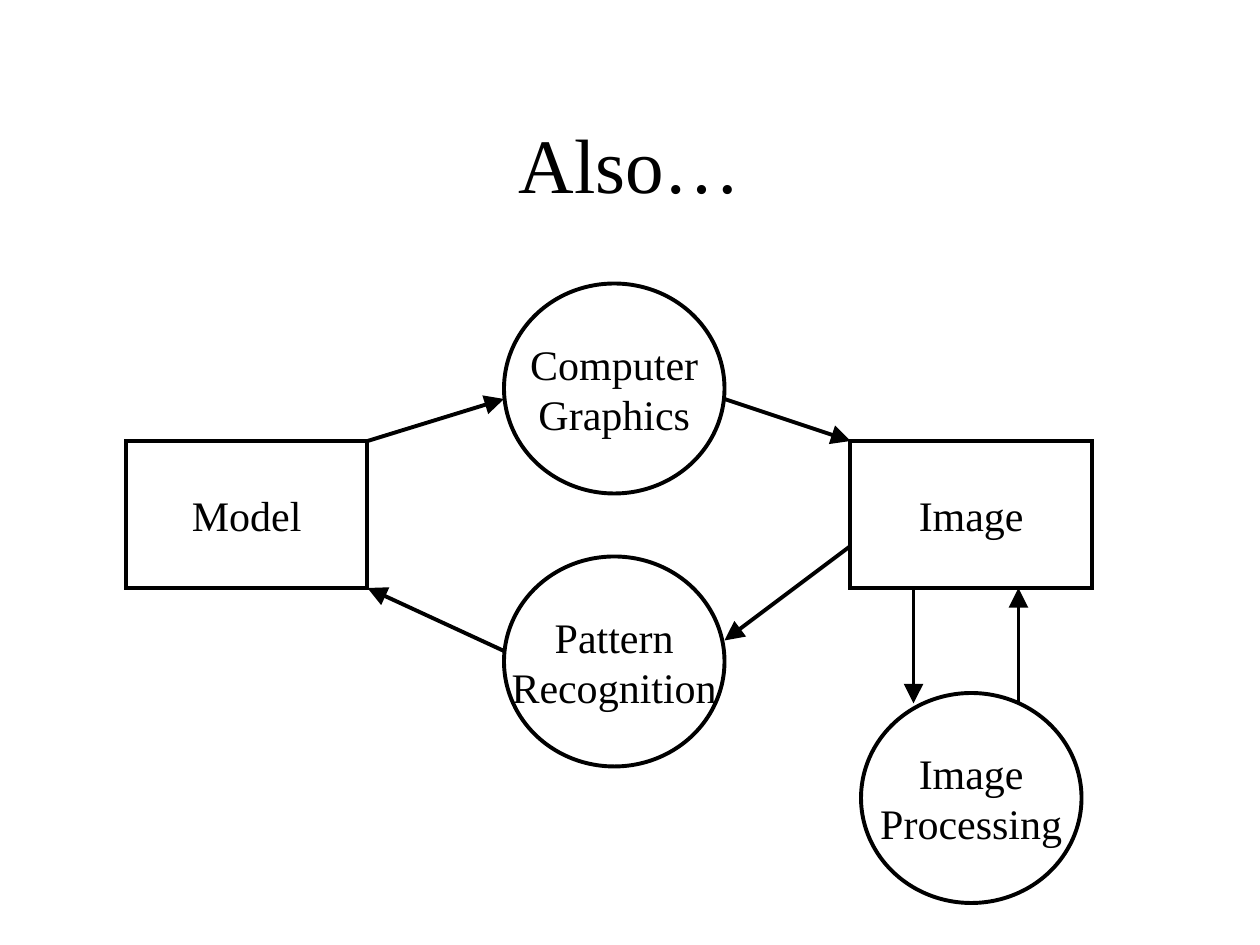
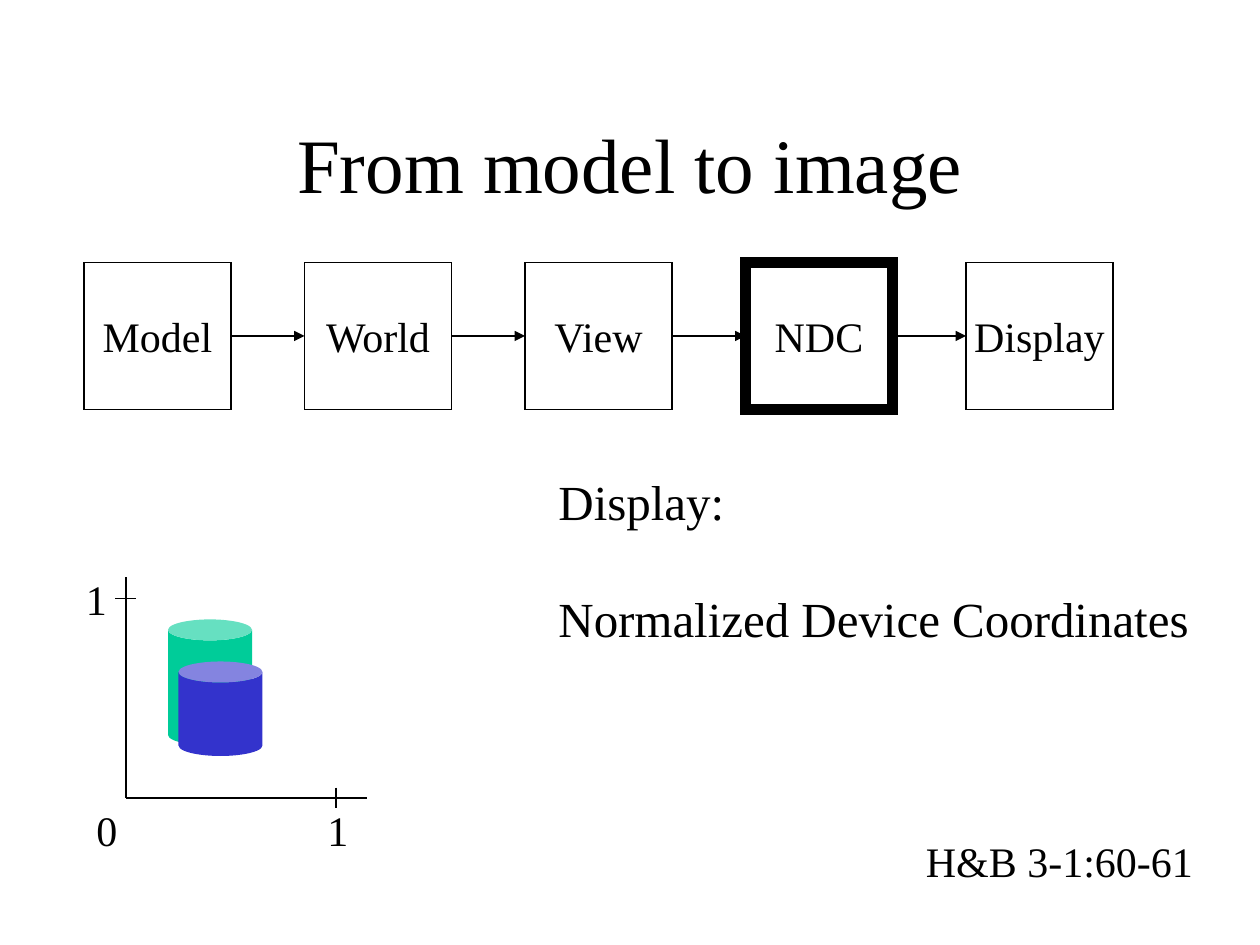
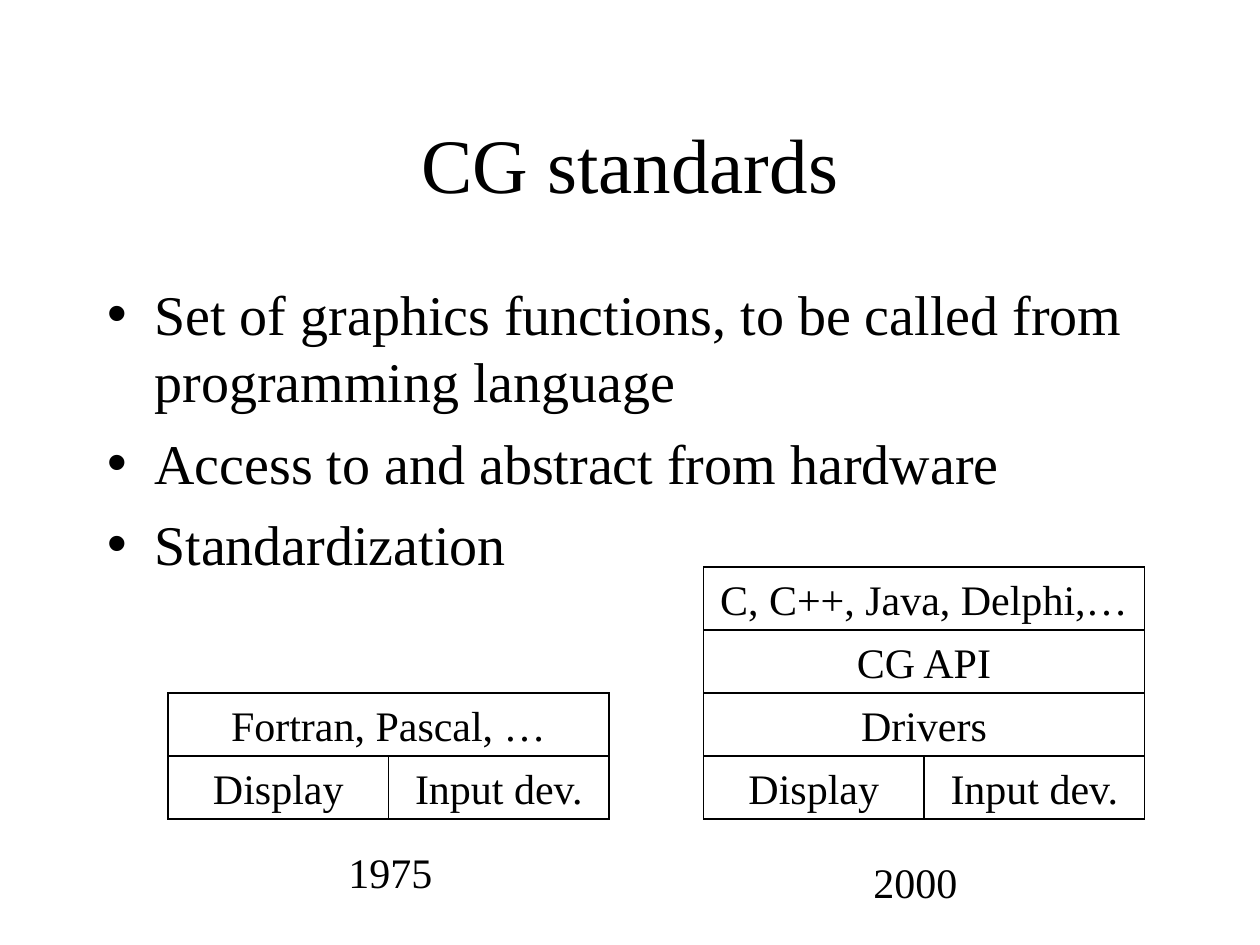
from itertools import pairwise

from lxml.etree import SubElement
from pptx import Presentation
from pptx.dml.color import RGBColor
from pptx.enum.shapes import MSO_CONNECTOR, MSO_SHAPE
from pptx.enum.text import MSO_ANCHOR, MSO_AUTO_SIZE, PP_ALIGN
from pptx.oxml.ns import qn
from pptx.util import Inches, Pt

COLORS = {"ink": "000000", "green": "00CC99", "blue": "3333CC"}
INK = RGBColor.from_string(COLORS["ink"])
FONT = "Times New Roman"
THIN, MEDIUM, THICK = 0.75, 2.25, 6

deck = Presentation()
deck.slide_width, deck.slide_height = Inches(10), Inches(7.5)
UNIT = deck.slide_width / 120  # the grid has 120 columns and 90 rows


def add_box(page, kind, area, text, line_width=THIN, size=24):
    """Outlined shape with centred text, or a plain text box when kind is None."""
    area = [round(value * UNIT) for value in area]
    if kind is None:
        box = page.shapes.add_textbox(*area)
    else:
        box = page.shapes.add_shape(kind, *area)
        box.shadow.inherit = False
        box.fill.background()
        box.line.color.rgb = INK
        box.line.width = Pt(line_width)
        SubElement(box.line._get_or_add_ln(), qn("a:miter"), lim="800000")
    frame = box.text_frame
    frame.text = text
    frame.word_wrap = False
    frame.vertical_anchor = MSO_ANCHOR.TOP if kind is None else MSO_ANCHOR.MIDDLE
    for para in frame.paragraphs:
        para.alignment = PP_ALIGN.LEFT if kind is None else PP_ALIGN.CENTER
        para.font.name, para.font.size = FONT, Pt(size)
        para.font.color.rgb = INK
    return box


def add_line(page, points, line_width=THIN, head="med"):
    """Straight line, ending in an arrowhead of the given size unless head is None."""
    points = [round(value * UNIT) for value in points]
    line = page.shapes.add_connector(MSO_CONNECTOR.STRAIGHT, *points)
    line.line.color.rgb = INK
    line.line.width = Pt(line_width)
    if head:
        SubElement(line.line._get_or_add_ln(), qn("a:tailEnd"),
                   type="triangle", w=head, len=head)
    SubElement(line._element.spPr, qn("a:effectLst"))
    return line


# Pages with their shared title style
pages = []
for heading, layout in [("Also…", 5), ("From model to image", 5), ("CG standards", 1)]:
    page = deck.slides.add_slide(deck.slide_layouts[layout])
    title = page.shapes.title
    title.left, title.top = Inches(0.75), Inches(0.67)
    title.width, title.height = Inches(8.5), Inches(1.25)
    title.text_frame.text = heading
    title.text_frame.auto_size = MSO_AUTO_SIZE.NONE
    title.text_frame.vertical_anchor = MSO_ANCHOR.MIDDLE
    para = title.text_frame.paragraphs[0]
    para.alignment = PP_ALIGN.CENTER
    para.font.name, para.font.size = FONT, Pt(44)
    para.font.color.rgb = INK
    pages.append(page)
fields_page, pipeline_page, standards_page = pages

# Slide 1: data boxes, the fields between them, and arrows
for left, name in [(12, "Model"), (81, "Image")]:
    add_box(fields_page, MSO_SHAPE.RECTANGLE, (left, 42, 23, 14), name, MEDIUM)
for left, top, name in [
    (48, 27, "Computer\nGraphics"),
    (48, 53, "Pattern\nRecognition"),
    (82, 66, "Image\nProcessing"),
]:
    add_box(fields_page, MSO_SHAPE.OVAL, (left, top, 21, 20), name, MEDIUM)
for points in [
    (35, 42, 48, 38),
    (69, 38, 81, 42),
    (81, 52, 69, 61),
    (48, 62, 35, 56),
    (87, 56, 87, 67),
    (97, 67, 97, 56),
]:
    add_line(fields_page, points, MEDIUM, head="lg")

# Slide 2: pipeline of coordinate systems, the current one emphasised
SIDE, STEP, PIPELINE_TOP = 14, 21, 25
stages = []
for index, name in enumerate(["Model", "World", "View", "NDC", "Display"]):
    area = (8 + index * STEP, PIPELINE_TOP, SIDE, SIDE)
    width = THICK if name == "NDC" else THIN
    stages.append(add_box(pipeline_page, MSO_SHAPE.RECTANGLE, area, name, width))
for before, after in pairwise(stages):
    arrow = add_line(pipeline_page, (0, 0, 1, 1))
    arrow.begin_connect(before, 3)
    arrow.end_connect(after, 1)

# Slide 2: cylinders in a unit coordinate system
for color, area in [("green", (16, 59, 8, 12)), ("blue", (17, 63, 8, 9))]:
    cylinder = pipeline_page.shapes.add_shape(
        MSO_SHAPE.CAN, *[round(value * UNIT) for value in area])
    cylinder.shadow.inherit = False
    cylinder.fill.solid()
    cylinder.fill.fore_color.rgb = RGBColor.from_string(COLORS[color])
    cylinder.line.fill.background()
axes = [(12, 55, 12, 76), (12, 76, 35, 76)]
ticks = [(32, 75, 32, 77), (11, 57, 13, 57)]
for points in axes + ticks:
    add_line(pipeline_page, points, head=None)
for left, top, label in [(8, 76, "0"), (30, 76, "1"), (7, 54, "1")]:
    add_box(pipeline_page, None, (left, top, 5, 6), label)

# Slide 2: explanation and reference
explanation = add_box(pipeline_page, None, (52, 44.3, 64, 18),
                      "Display:\nNormalized Device Coordinates", size=28)
explanation.text_frame.paragraphs[1].space_before = Pt(33.5)
add_box(pipeline_page, None, (87, 79, 30, 6), "H&B 3-1:60-61")

# Slide 3: bullet list
body = standards_page.placeholders[1]
body.left, body.top = Inches(0.75), Inches(2.17)
body.width, body.height = Inches(8.5), Inches(4.5)
body.text_frame.text = "\n".join([
    "Set of graphics functions, to be called from programming language",
    "Access to and abstract from hardware",
    "Standardization",
])
body.text_frame.auto_size = MSO_AUTO_SIZE.NONE
for index, para in enumerate(body.text_frame.paragraphs):
    para.space_before = Pt(8 if index else 0)
    para.font.name, para.font.size = FONT, Pt(32)
    para.font.color.rgb = INK

# Slide 3: software stacks, listed from the bottom row upwards
STACK_WIDTH, ROW, BOTTOM_ROW = 42, 6, 72
devices = ["Display", "Input dev."]
stacks = [
    (16, [devices, ["Fortran, Pascal, …"]]),
    (67, [devices, ["Drivers"], ["CG API"], ["C, C++, Java, Delphi,…"]]),
]
for stack_left, layers in stacks:
    for level, names in enumerate(layers):
        width = STACK_WIDTH / len(names)
        for column, name in enumerate(names):
            area = (stack_left + column * width, BOTTOM_ROW - level * ROW, width, ROW)
            add_box(standards_page, MSO_SHAPE.RECTANGLE, area, name)
for left, top, year in [(32, 80, "1975"), (82, 81, "2000")]:
    add_box(standards_page, None, (left, top, 12, 6), year)

deck.save("out.pptx")
